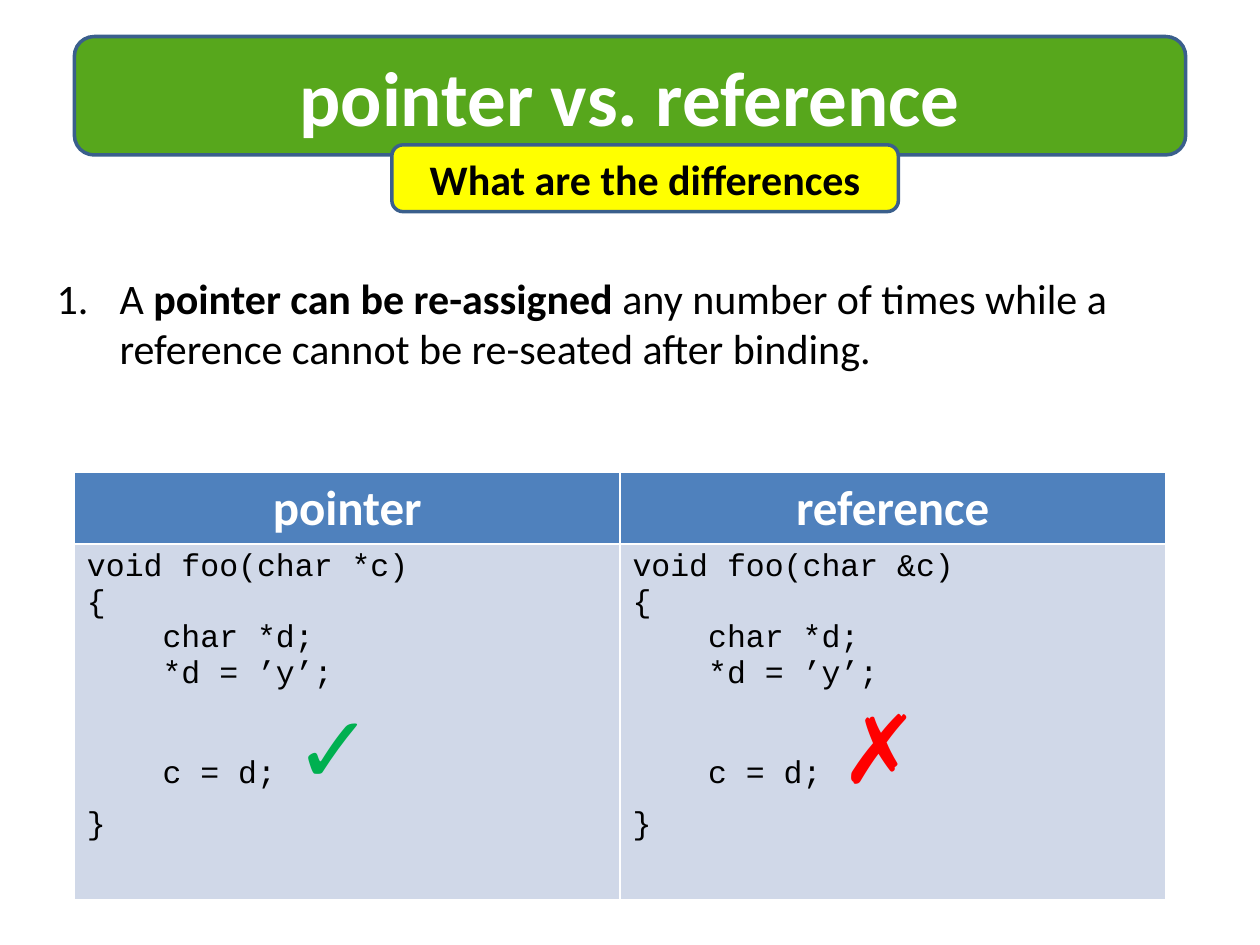
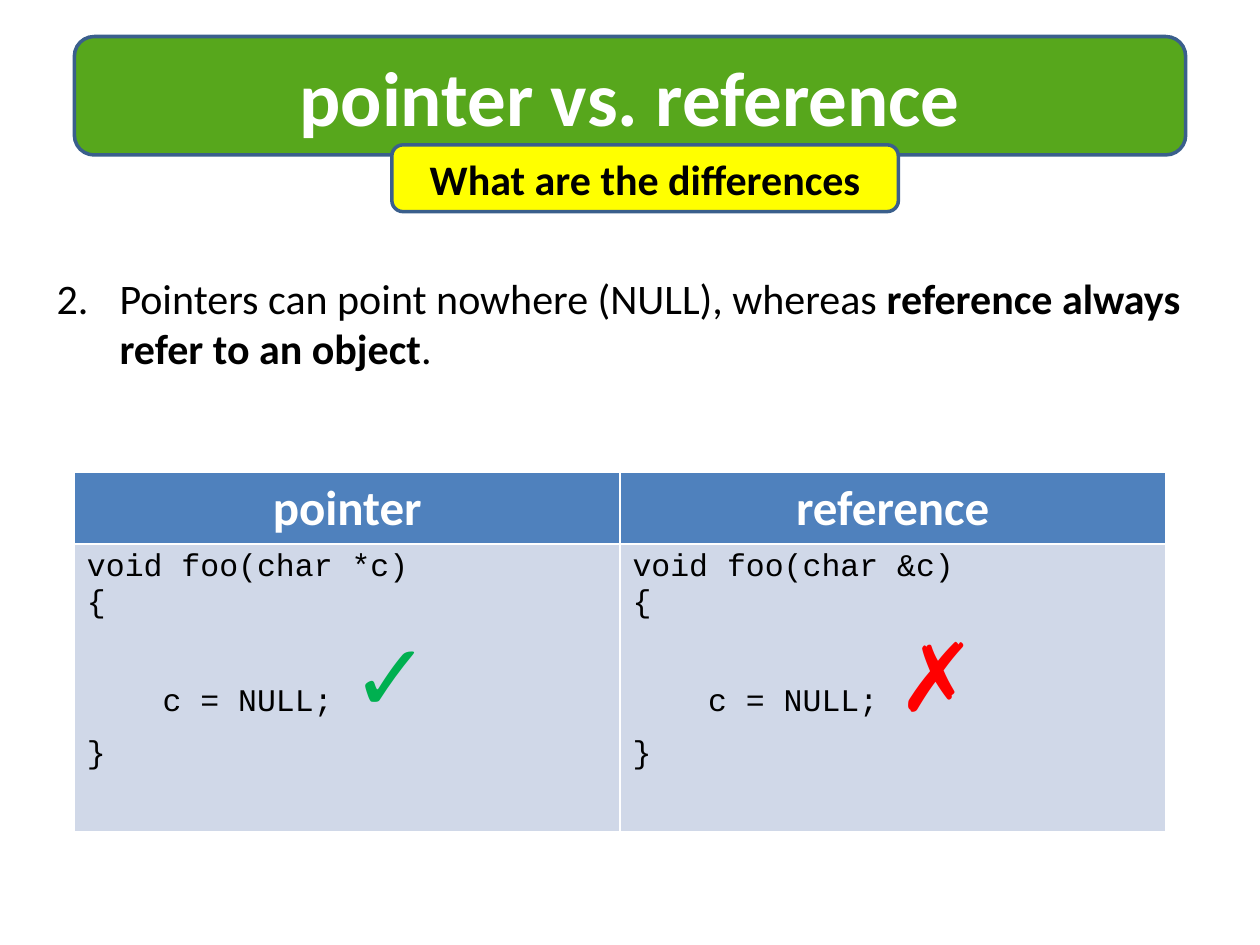
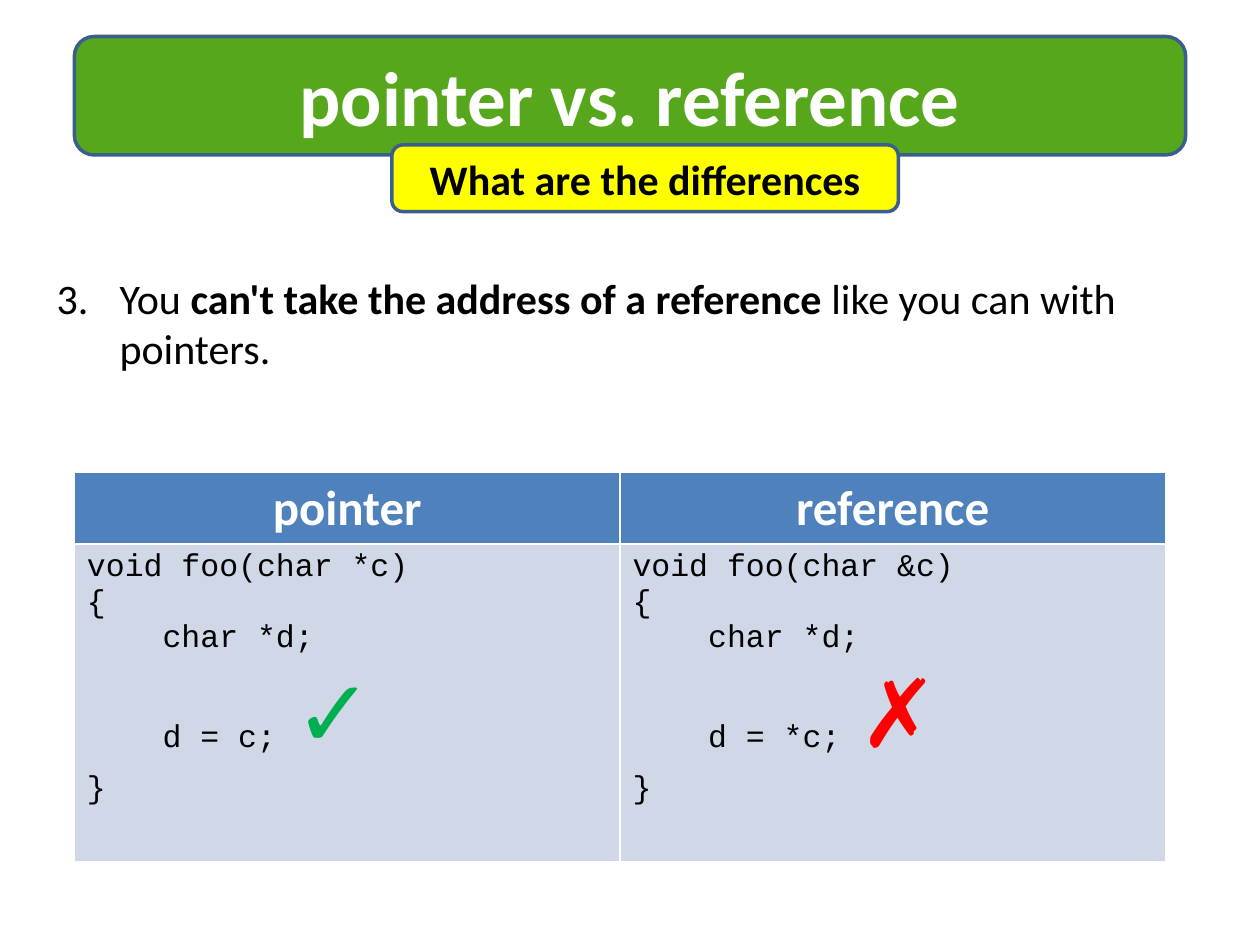
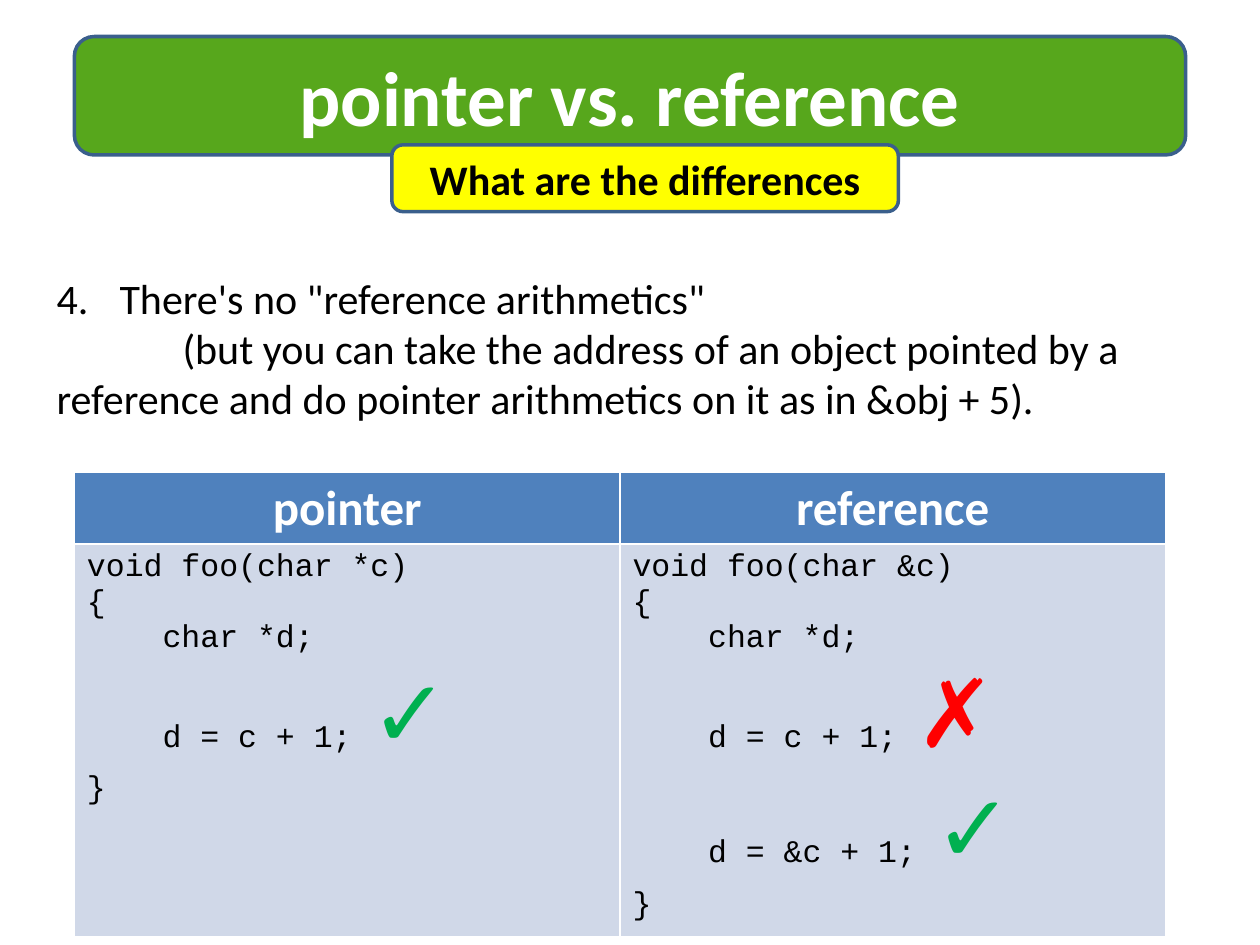
"""Build four slides on how C++ pointers differ from references."""
import pptx
import pptx.dml.color
import pptx.enum.shapes
import pptx.enum.text
import pptx.oxml.ns
import pptx.util
from lxml import etree

TITLE = "pointer vs. reference"
QUESTION = "What are the differences"
HEADINGS = ["pointer", "reference"]
SIGNATURES = ["void foo(char *c)", "void foo(char &c)"]
YES, NO = "✓", "✗"

DIFFERENCES = [
    {
        "point": [("A ", False), ("pointer can be re-assigned ", True),
                  ("any number of times while a reference cannot be re-seated after binding.", False)],
        "setup": ["char *d;", "*d = ’y’;"],
        "verdicts": [[("c = d; ", YES)], [("c = d; ", NO)]],
        "code_rows": 28.2,
    },
    {
        "point": [("Pointers can point nowhere (NULL), whereas ", False),
                  ("reference always refer to an object", True), (".", False)],
        "setup": [],
        "verdicts": [[("c = NULL; ", YES)], [("c = NULL; ", NO)]],
        "code_rows": 22.8,
    },
    {
        "point": [("You ", False), ("can't take the address of a reference ", True),
                  ("like you can with pointers.", False)],
        "setup": ["char *d;"],
        "verdicts": [[("d = c; ", YES)], [("d = *c; ", NO)]],
        "code_rows": 25.2,
    },
    {
        "point": [("There's no \"reference arithmetics\"", False)],
        "aside": "(but you can take the address of an object pointed by a "
                 "reference and do pointer arithmetics on it as in &obj + 5).",
        "setup": ["char *d;"],
        "verdicts": [[("d = c + 1; ", YES)], [("d = c + 1; ", NO), ("d = &c + 1; ", YES)]],
        "code_rows": 31.2,
    },
]

COLORS = {"green": "57A71C", "yellow": "FFFF00", "outline": "3A5F8C", "white": "FFFFFF",
          "black": "000000", "heading": "4F81BD", "code": "D0D8E8", YES: "00B050", NO: "FF0000"}
STYLES = {
    "title": {"name": "Calibri", "size": 44, "bold": True, "color": "white"},
    "question": {"name": "Calibri", "size": 24, "bold": True, "color": "black"},
    "point": {"name": "Calibri", "size": 24, "bold": False, "color": "black"},
    "strong": {"name": "Calibri", "size": 24, "bold": True, "color": "black"},
    "heading": {"name": "Calibri", "size": 28, "bold": True, "color": "white"},
    "code": {"name": "Courier New", "size": 18, "bold": False, "color": "black"},
    YES: {"name": "Calibri", "size": 54, "bold": True, "color": YES},
    NO: {"name": "Calibri", "size": 54, "bold": True, "color": NO},
}

COLUMNS, ROWS = 100, 75
TITLE_BAND = (5.9, 2.9, 88.2, 9.4)
QUESTION_BAND = (31.1, 11.5, 40.2, 5.3)
POINT_AREA = (3.5, 21.1, 92.9, 21.2)
TABLE_LEFT, TABLE_TOP, TABLE_WIDTH, HEADING_ROWS = 5.9, 37.5, 86.6, 5.5
NUMBER_INDENT, ASIDE_INDENT, CODE_INDENT = 5, 10, 6
CENTER = pptx.enum.text.PP_ALIGN.CENTER

deck = pptx.Presentation()
deck.slide_width, deck.slide_height = pptx.util.Inches(10), pptx.util.Inches(7.5)


def across(columns):
    return round(deck.slide_width * columns / COLUMNS)


def down(rows):
    return round(deck.slide_height * rows / ROWS)


def place(left, top, width, height):
    return across(left), down(top), across(width), down(height)


def rgb(color):
    return pptx.dml.color.RGBColor.from_string(COLORS[color])


def fill(target, color):
    target.fill.solid()
    target.fill.fore_color.rgb = rgb(color)


def write(paragraph, text, style):
    run = paragraph.add_run()
    run.text = text
    looks = dict(STYLES[style])
    run.font.color.rgb = rgb(looks.pop("color"))
    looks["size"] = pptx.util.Pt(looks["size"])
    for attribute, value in looks.items():
        setattr(run.font, attribute, value)


def indent(paragraph, margin, first):
    properties = paragraph._p.get_or_add_pPr()
    properties.set("marL", str(across(margin)))
    properties.set("indent", str(across(first)))
    return properties


def add_band(slide, area, color, text, style):
    band = slide.shapes.add_shape(pptx.enum.shapes.MSO_SHAPE.ROUNDED_RECTANGLE, *place(*area))
    band.shadow.inherit = False
    fill(band, color)
    band.line.color.rgb = rgb("outline")
    band.line.width = pptx.util.Pt(2)
    band.text_frame.vertical_anchor = pptx.enum.text.MSO_ANCHOR.MIDDLE
    sentence = band.text_frame.paragraphs[0]
    sentence.alignment = CENTER
    write(sentence, text, style)


def add_point(slide, number, difference):
    frame = slide.shapes.add_textbox(*place(*POINT_AREA)).text_frame
    frame.word_wrap = True
    point = frame.paragraphs[0]
    properties = indent(point, NUMBER_INDENT, -NUMBER_INDENT)
    etree.SubElement(properties, pptx.oxml.ns.qn("a:buAutoNum"),
                     type="arabicPeriod", startAt=str(number))
    for text, strong in difference["point"]:
        write(point, text, "strong" if strong else "point")
    if "aside" in difference:
        aside = frame.add_paragraph()
        indent(aside, 0, ASIDE_INDENT)
        write(aside, difference["aside"], "point")


def add_comparison(slide, difference):
    heights = [HEADING_ROWS, difference["code_rows"]]
    area = place(TABLE_LEFT, TABLE_TOP, TABLE_WIDTH, sum(heights))
    comparison = slide.shapes.add_table(2, len(HEADINGS), *area).table
    for row, height in zip(comparison.rows, heights):
        row.height = down(height)
    for column, heading in enumerate(HEADINGS):
        head, body = comparison.cell(0, column), comparison.cell(1, column)
        fill(head, "heading")
        fill(body, "code")
        label = head.text_frame.paragraphs[0]
        label.alignment = CENTER
        write(label, heading, "heading")
        inner = [(line, None) for line in difference["setup"]] + difference["verdicts"][column]
        lines = [(SIGNATURES[column], None, 0), ("{", None, 0)]
        lines += [(code, mark, CODE_INDENT) for code, mark in inner]
        lines.append(("}", None, 0))
        for position, (code, mark, margin) in enumerate(lines):
            frame = body.text_frame
            line = frame.add_paragraph() if position else frame.paragraphs[0]
            indent(line, margin, 0)
            write(line, code, "code")
            if mark:
                write(line, mark, mark)


for number, difference in enumerate(DIFFERENCES, 1):
    slide = deck.slides.add_slide(deck.slide_layouts[6])
    add_band(slide, TITLE_BAND, "green", TITLE, "title")
    add_point(slide, number, difference)
    add_band(slide, QUESTION_BAND, "yellow", QUESTION, "question")
    add_comparison(slide, difference)

deck.save("out.pptx")
